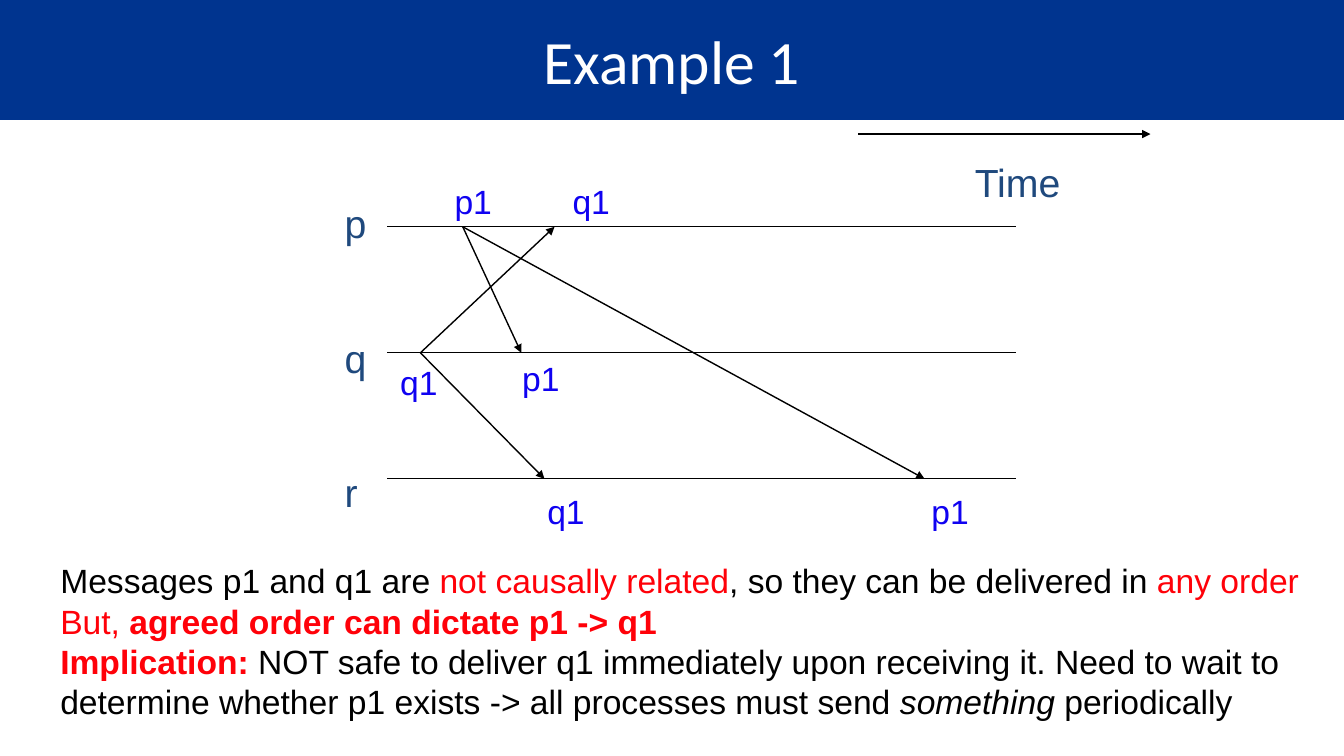
from lxml import etree
from pptx import Presentation
from pptx.dml.color import RGBColor
from pptx.enum.shapes import MSO_CONNECTOR, MSO_SHAPE
from pptx.enum.text import MSO_ANCHOR, MSO_AUTO_SIZE, PP_ALIGN
from pptx.oxml.ns import qn
from pptx.util import Inches, Pt

STRAIGHT = MSO_CONNECTOR.STRAIGHT
RECTANGLE = MSO_SHAPE.RECTANGLE
MIDDLE = MSO_ANCHOR.MIDDLE
CENTER = PP_ALIGN.CENTER
FIT_SHAPE = MSO_AUTO_SIZE.SHAPE_TO_FIT_TEXT

COLORS = {
    "banner": "00348F",
    "white": "FFFFFF",
    "black": "000000",
    "process": "1F497D",
    "message": "1002F1",
    "emphasis": "FF0109",
}


def add_run(paragraph, text, color="black", size=24, font="Arial", bold=False, italic=False):
    run = paragraph.add_run()
    run.text = text
    run.font.name = font
    run.font.size = Pt(size)
    run.font.bold = bold
    run.font.italic = italic
    run.font.color.rgb = RGBColor.from_string(COLORS[color])


class SlideBuilder:
    def __init__(self, slide):
        self.slide = slide

    def banner(self, text, width, height):
        shape = self.slide.shapes.add_shape(RECTANGLE, 0, 0, Inches(width), Inches(height))
        shape.shadow.inherit = False
        shape.fill.solid()
        shape.fill.fore_color.rgb = RGBColor.from_string(COLORS["banner"])
        shape.line.fill.background()
        shape.text_frame.vertical_anchor = MIDDLE
        paragraph = shape.text_frame.paragraphs[0]
        paragraph.alignment = CENTER
        add_run(paragraph, text, color="white", size=44, font="Calibri")

    def line(self, start, end, arrow=False):
        connector = self.slide.shapes.add_connector(
            STRAIGHT, *(Inches(value) for value in (*start, *end)))
        connector.line.width = Pt(1)
        connector.line.color.rgb = RGBColor.from_string(COLORS["black"])
        if arrow:
            line_element = connector.line._get_or_add_ln()
            etree.SubElement(line_element, qn("a:tailEnd"), type="triangle")
        etree.SubElement(connector._element.spPr, qn("a:effectLst"))

    def text(self, paragraphs, left, top, width, height, wrap=False):
        """Add a text box; each paragraph is a list of (text, format) runs."""
        box = self.slide.shapes.add_textbox(
            Inches(left), Inches(top), Inches(width), Inches(height))
        frame = box.text_frame
        frame.word_wrap = wrap
        frame.auto_size = FIT_SHAPE
        for index, runs in enumerate(paragraphs):
            paragraph = frame.add_paragraph() if index else frame.paragraphs[0]
            for text, style in runs:
                add_run(paragraph, text, **style)

    def label(self, text, left, top, width, height, **style):
        self.text([[(text, style)]], left, top, width, height)


def main():
    presentation = Presentation()
    presentation.slide_width = Inches(13.33)
    presentation.slide_height = Inches(7.5)
    builder = SlideBuilder(presentation.slides.add_slide(presentation.slide_layouts[6]))

    builder.banner("Example 1", 13.33, 1.19)

    builder.line((8.51, 1.33), (11.41, 1.33), arrow=True)
    builder.label("Time", 9.57, 1.52, 1.06, 0.56, color="process", size=28)

    timelines = {"p": 2.25, "q": 3.5, "r": 4.75}
    for index, (process, y) in enumerate(timelines.items()):
        builder.line((3.84, y), (10.08, y))
        width = 0.33 if process == "r" else 0.42
        builder.label(process, 3.32, 1.93 + 1.335 * index, width, 0.57,
                      color="process", size=28)

    p1_sent = (4.59, timelines["p"])
    q1_sent = (4.17, timelines["q"])
    deliveries = [
        (p1_sent, (5.17, timelines["q"])),
        (p1_sent, (9.17, timelines["r"])),
        (q1_sent, (5.4, timelines["r"])),
        (q1_sent, (5.5, timelines["p"])),
    ]
    for sent, received in deliveries:
        builder.line(sent, received, arrow=True)

    message_labels = [
        ("p1", 4.41, 1.75), ("q1", 5.58, 1.75),
        ("q1", 3.87, 3.54), ("p1", 5.08, 3.5),
        ("q1", 5.33, 4.82), ("p1", 9.14, 4.82),
    ]
    for message, left, top in message_labels:
        builder.label(message, left, top, 0.58, 0.5, color="message")

    red = {"color": "emphasis"}
    bold_red = {"color": "emphasis", "bold": True}
    builder.text([
        [("Messages p1 and q1 are ", {}), ("not causally related", red),
         (", so they can be delivered in ", {}), ("any order", red)],
        [("But, ", red), ("agreed order can dictate p1 -> q1", bold_red)],
        [("Implication: ", bold_red),
         ("NOT safe to deliver q1 immediately upon receiving it. Need to wait to "
          "determine whether p1 exists -> all processes must send ", {}),
         ("something", {"italic": True}), (" periodically", {})],
    ], 0.5, 5.51, 12.76, 1.72, wrap=True)

    presentation.save("out.pptx")


if __name__ == "__main__":
    main()
